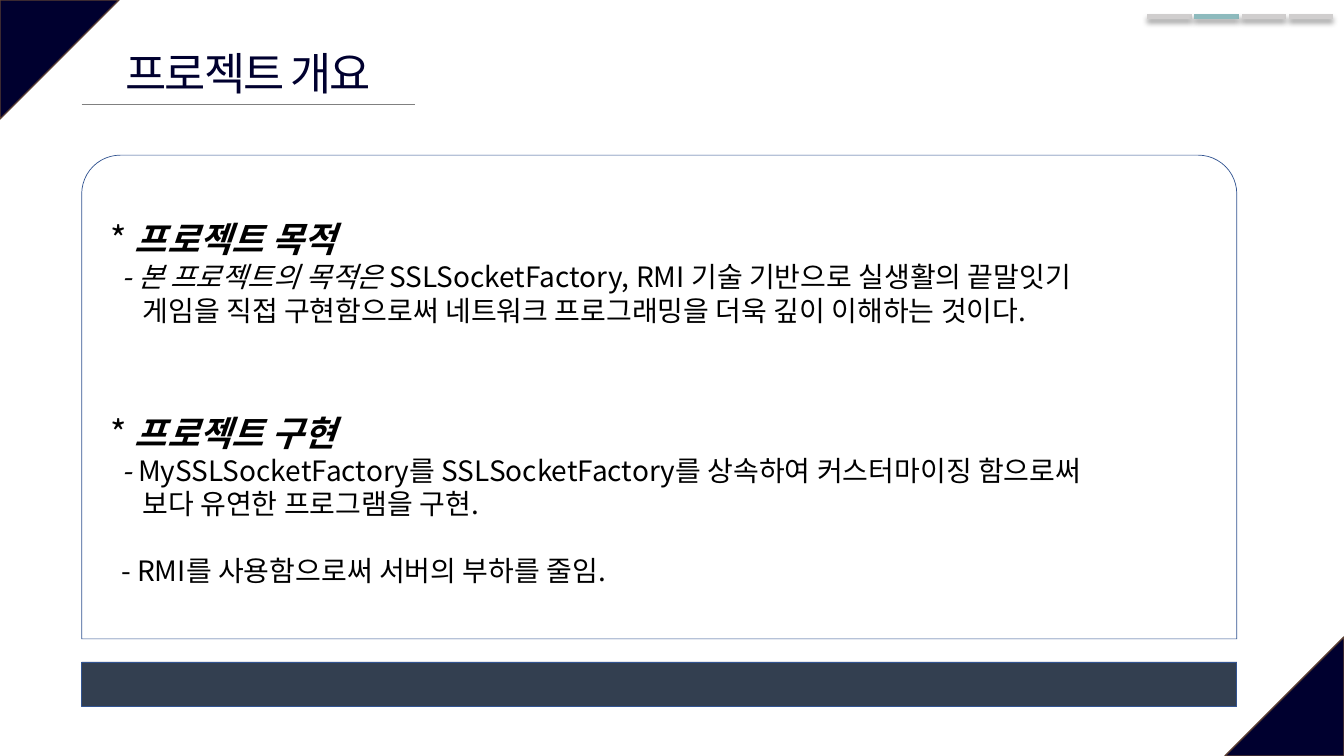
from lxml import etree
from pptx import Presentation
from pptx.dml.color import RGBColor
from pptx.enum.shapes import MSO_CONNECTOR, MSO_SHAPE
from pptx.enum.text import MSO_ANCHOR, PP_ALIGN
from pptx.oxml.ns import qn
from pptx.util import Cm, Pt

NAVY = RGBColor(0x00, 0x00, 0x2F)
BROWN = RGBColor(0x5B, 0x3F, 0x33)
SILVER = RGBColor(0xD0, 0xCE, 0xCE)
TEAL = RGBColor(0x8D, 0xBA, 0xBD)
GRAY = RGBColor(0x80, 0x80, 0x80)
BLUE = RGBColor(0x32, 0x54, 0x91)
SLATE = RGBColor(0x33, 0x3F, 0x50)
WHITE = RGBColor(0xFF, 0xFF, 0xFF)
BLACK = RGBColor(0x00, 0x00, 0x00)

STRAIGHT = MSO_CONNECTOR.STRAIGHT
TRIANGLE = MSO_SHAPE.ISOSCELES_TRIANGLE
RECTANGLE = MSO_SHAPE.RECTANGLE
ROUND_TOP = MSO_SHAPE.ROUND_2_SAME_RECTANGLE
LEFT, CENTER = PP_ALIGN.LEFT, PP_ALIGN.CENTER
MIDDLE = MSO_ANCHOR.MIDDLE


class SlideBuilder:
    font = "Noto Sans CJK KR"

    def __init__(self, slide):
        self.shapes = slide.shapes

    def line(self, x1, x2, y, color, width, shadow=False):
        line = self.shapes.add_connector(STRAIGHT, Cm(x1), Cm(y), Cm(x2), Cm(y))
        line.line.color.rgb = color
        line.line.width = Pt(width)
        effects = etree.SubElement(line._element.spPr, qn("a:effectLst"))
        if shadow:
            line._element.spPr.find(qn("a:ln")).set("cap", "sq")
            outer = etree.SubElement(
                effects, qn("a:outerShdw"), blurRad=str(Pt(4)), dist=str(Pt(3)),
                dir="5400000", algn="t", rotWithShape="0")
            shade = etree.SubElement(outer, qn("a:srgbClr"), val="000000")
            etree.SubElement(shade, qn("a:alpha"), val="40000")

    def shape(self, kind, x, y, w, h, fill, border, width, adjust=(), rotation=0, alpha=None):
        shape = self.shapes.add_shape(kind, Cm(x), Cm(y), Cm(w), Cm(h))
        shape.shadow.inherit = False
        shape.fill.solid()
        shape.fill.fore_color.rgb = fill
        if alpha:
            color = shape._element.spPr.find(qn("a:solidFill"))[0]
            etree.SubElement(color, qn("a:alpha"), val=str(alpha * 1000))
        shape.line.color.rgb = border
        shape.line.width = Pt(width)
        for index, value in enumerate(adjust):
            shape.adjustments[index] = value
        shape.rotation = rotation
        return shape

    def style(self, run, size, color, bold=False, italic=False):
        run.font.name = self.font
        run.font.size = Pt(size)
        run.font.bold = bold
        run.font.italic = italic
        run.font.color.rgb = color
        etree.SubElement(run._r.get_or_add_rPr(), qn("a:ea"), typeface=self.font)

    def title(self, text, x, y, w, h):
        frame = self.shapes.add_textbox(Cm(x), Cm(y), Cm(w), Cm(h)).text_frame
        frame.word_wrap = False
        frame.text = text
        frame.paragraphs[0].alignment = CENTER
        run = frame.paragraphs[0].runs[0]
        self.style(run, 32, NAVY)
        run._r.get_or_add_rPr().set("spc", "-150")

    def body(self, shape, rows):
        frame = shape.text_frame
        frame.word_wrap = True
        frame.vertical_anchor = MIDDLE
        for index, (indent, before, size, runs) in enumerate(rows):
            paragraph = frame.paragraphs[0] if index == 0 else frame.add_paragraph()
            paragraph.alignment = LEFT
            paragraph.line_spacing = 1.0
            paragraph.space_before = Pt(before)
            paragraph._p.get_or_add_pPr().set("marL", str(Cm(indent)))
            for text, bold, italic in runs:
                run = paragraph.add_run()
                run.text = text
                self.style(run, size, BLACK, bold, italic)


def heading(text, before=0):
    return 0.2, before, 25, [("* ", False, False), (text, True, True)]


def item(lead, text):
    return 0.48, 0, 20, [(lead, False, True), (text, False, False)]


def plain(text, indent=1.0, before=0):
    return indent, before, 20, [(text, False, False)]


def main():
    deck = Presentation()
    deck.slide_width, deck.slide_height = Cm(33.87), Cm(19.05)
    page = SlideBuilder(deck.slides.add_slide(deck.slide_layouts[6]))

    corner = 3.0
    for x, y, rotation in ((0, 0, 90), (33.87 - corner, 19.05 - corner, 270)):
        page.shape(TRIANGLE, x, y, corner, corner, NAVY, BROWN, 1, (0,), rotation)

    for index, color in enumerate((SILVER, TEAL, SILVER, SILVER)):
        tab_x = 28.97 + 1.19 * index
        page.line(tab_x, tab_x + 1, 0.41, color, 3.5, shadow=True)

    margin, width = 2.06, 29.11
    page.line(margin, 10.46, 2.64, GRAY, 0.5)
    page.title("프로젝트 개요", 2.49, 1.02, 7.54, 1.63)

    panel = page.shape(ROUND_TOP, margin, 3.91, width, 12.19, WHITE, BLUE, 0.5,
                       (0.08, 0), alpha=90)
    page.body(panel, [
        heading("프로젝트 목적"),
        item("- 본 프로젝트의 목적은 ", "SSLSocketFactory, RMI 기술 기반으로 실생활의 끝말잇기"),
        plain("게임을 직접 구현함으로써 네트워크 프로그래밍을 더욱 깊이 이해하는 것이다."),
        heading("프로젝트 구현", before=60),
        item("- ", "MySSLSocketFactory를 SSLSocketFactory를 상속하여 커스터마이징 함으로써"),
        plain("보다 유연한 프로그램을 구현."),
        plain("- RMI를 사용함으로써 서버의 부하를 줄임.", indent=0.46, before=24),
    ])
    page.shape(RECTANGLE, margin, 16.68, width, 1.13, SLATE, BLUE, 0.5)
    deck.save("out.pptx")


if __name__ == "__main__":
    main()
